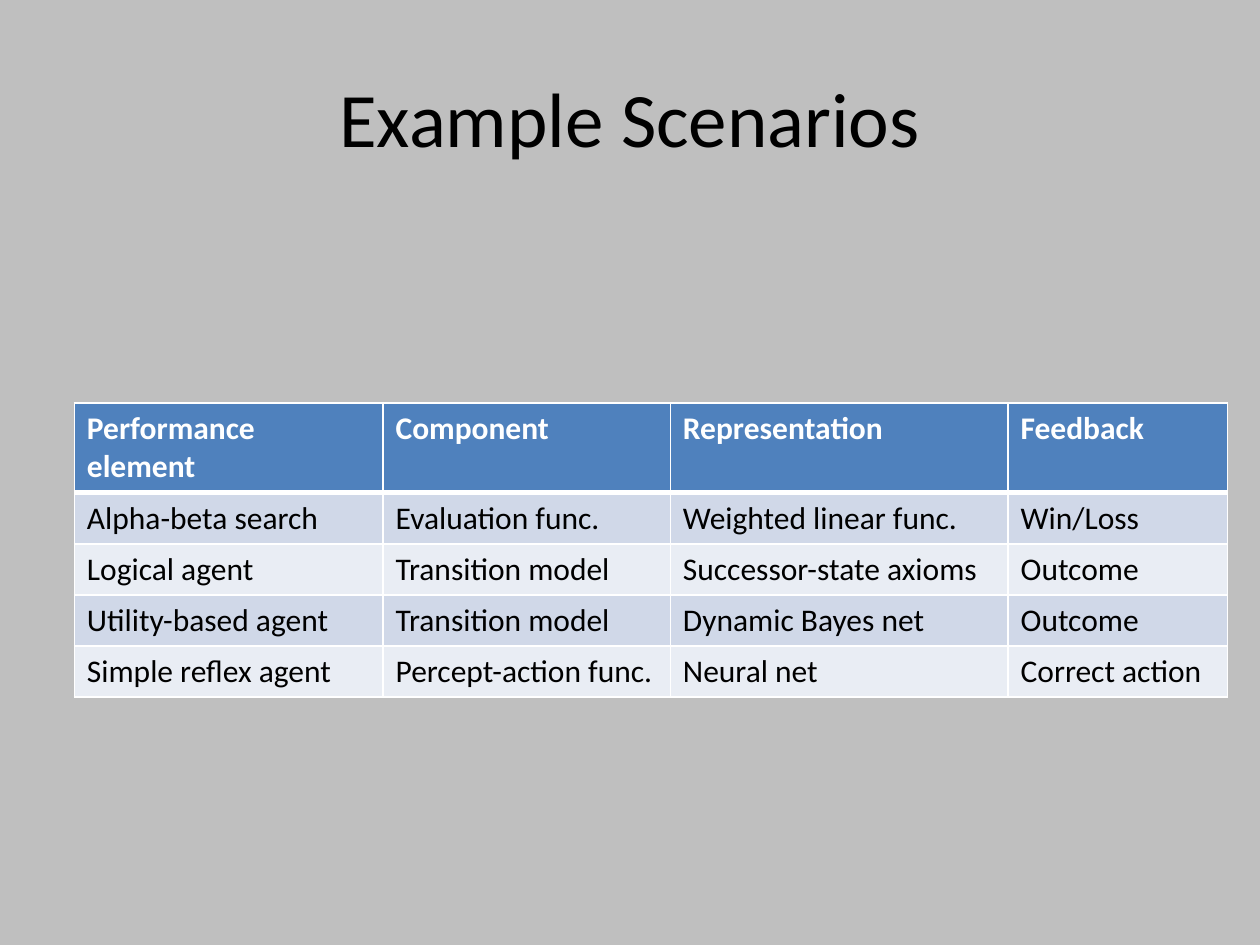
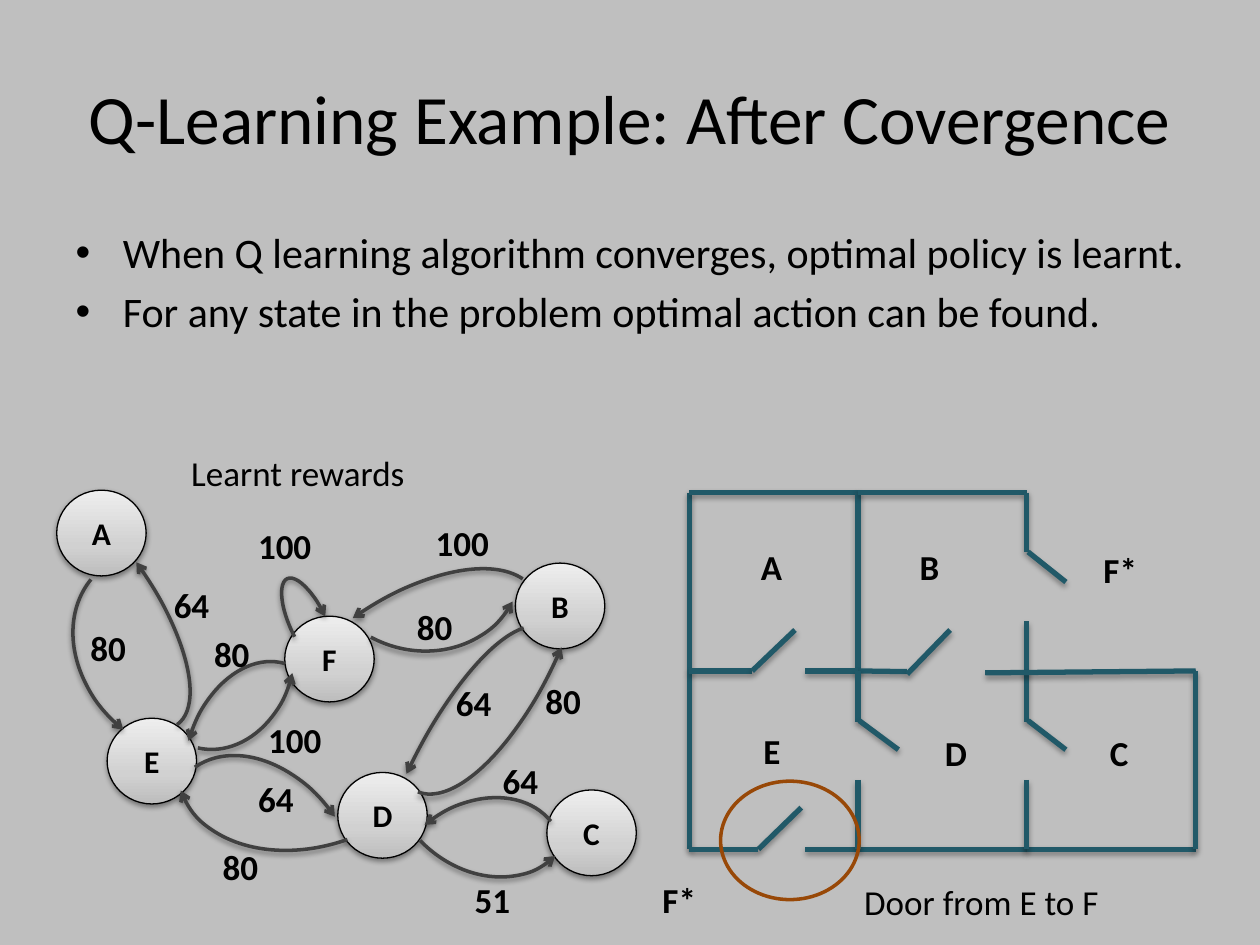
from copy import deepcopy
from typing import Any, NamedTuple, Optional

from lxml import etree
from pptx import Presentation
from pptx import slide as sl
from pptx import util as u
from pptx.dml import color as dml
from pptx.enum import shapes, text
from pptx.oxml import ns

FONT = "Calibri"
COLORS = {
    "background": "BFBFBF",
    "ink": "000000",
    "paper": "FFFFFF",
    "header": "4F81BD",
    "band_dark": "D0D8E8",
    "band_light": "E9EDF4",
    "node_low": "BDBDBD",
    "node_mid": "D1D1D1",
    "node_high": "EEEEEE",
    "transition": "404040",
    "wall": "215968",
    "highlight": "984807",
}
TITLE_ONLY, TITLE_AND_BODY = 5, 1

SCENARIOS = [
    ["Performance element", "Component", "Representation", "Feedback"],
    ["Alpha-beta search", "Evaluation func.", "Weighted linear func.", "Win/Loss"],
    ["Logical agent", "Transition model", "Successor-state axioms", "Outcome"],
    ["Utility-based agent", "Transition model", "Dynamic Bayes net", "Outcome"],
    ["Simple reflex agent", "Percept-action func.", "Neural net", "Correct action"],
]
SCENARIO_WIDTHS = [176.4, 164.2, 193, 125.3]
SCENARIO_ROW_HEIGHT = 29.2

CONCLUSIONS = [
    "When Q learning algorithm converges, optimal policy is learnt.",
    "For any state in the problem optimal action can be found.",
]


class State(NamedTuple):
    name: str
    left: float
    top: float


class Transition(NamedTuple):
    left: float
    top: float
    width: float
    height: float
    rotation: float
    end_angle: float = 0
    arrow: str = "headEnd"
    flipped: bool = False


class Label(NamedTuple):
    words: str
    left: float
    top: float
    width: float = 35.3
    bold: bool = True


class Wall(NamedTuple):
    x1: float
    y1: float
    x2: float
    y2: float


STATES = [
    State("A", 32.4, 280.1),
    State("E", 61.2, 410.4),
    State("F", 162.7, 352.1),
    State("B", 294.5, 321.8),
    State("D", 193, 441.4),
    State("C", 312.5, 451.4),
]

TRANSITIONS = [
    Transition(36.7, 319, 136.8, 110.2, 219),
    Transition(-39.6, 306.7, 177.8, 70.6, 54.2),
    Transition(71.3, 331.9, 107.3, 86.4, 102.8),
    Transition(89.3, 393.8, 115.2, 81.4, 285.9),
    Transition(100.8, 426.2, 99.4, 137.5, 325.3, arrow="tailEnd"),
    Transition(98.6, 366.5, 160.6, 116.6, 160.4, arrow="tailEnd"),
    Transition(182.2, 252.7, 112.3, 123.8, 118.1),
    Transition(133.9, 344.9, 187.9, 91.4, 325, 212.9),
    Transition(226.1, 385.9, 98.6, 120.2, 135.9),
    Transition(213.1, 461.5, 114.5, 87.8, 320.9),
    Transition(147.6, 346.3, 57.6, 20.9, 244.7, 63.82, flipped=True),
    Transition(155.5, 421.9, 217.4, 70.6, 295.3, 212.59),
    Transition(172.8, 309.6, 216.7, 86.4, 113.3, 215.84),
]

REWARDS = [
    Label("64", 140.4, 440.6),
    Label("80", 120.2, 479.5),
    Label("80", 115.2, 357.8),
    Label("100", 146.2, 406.8, 45.4),
    Label("64", 92.2, 329.8),
    Label("80", 44.6, 354.2),
    Label("80", 231.1, 342.7),
    Label("100", 241.9, 294.5, 45.4),
    Label("100", 140.4, 295.9, 45.4),
    Label("80", 304.6, 384.5),
    Label("64", 280.1, 430.6),
    Label("64", 253.4, 385.9),
    Label("51", 264.2, 498.2),
    Label("Learnt rewards", 102.2, 254.2, 137.5, False),
]

ROOMS = [
    Label("A", 427.7, 308.2, 26.6),
    Label("B", 518.4, 308.2, 26.6),
    Label("F*", 623.5, 309.6, 33.8),
    Label("E", 429.1, 413.3, 24.5),
    Label("D", 532.8, 414.7, 27.4),
    Label("C", 627.1, 414.7, 25.2),
    Label("F*", 371.5, 498.2, 33.8),
    Label("Door from E to F", 486.7, 499.7, 151.9, False),
]

X0, X1, X2, X3 = (393.8 + 96.5 * column for column in range(4))
Y0, Y1, Y2 = (281.5 + 101.9 * row for row in range(3))
WALLS = [
    Wall(X0, Y0, X0, Y1),
    Wall(X1, Y0, X0, Y0),
    Wall(X1, Y0, X1, Y1),
    Wall(X2, Y0, X1, Y0),
    Wall(X0, Y1, X0, Y2),
    Wall(429.8, Y1, X0, Y1),
    Wall(518.4, 383.8, X1, Y1),
    Wall(X2, Y2, X1, Y2),
    Wall(542.9, 360, 518.4, 385.2),
    Wall(454.3, 360, 429.8, Y1),
    Wall(X2, Y0, X2, 315.4),
    Wall(X2, 355, X2, 384.5),
    Wall(609.1, 332.6, 587.5, 315.4),
    Wall(X1, Y1, 460.1, Y1),
    Wall(457.9, 461.5, 433.4, Y2),
    Wall(433.4, Y2, X0, Y2),
    Wall(X1, Y2, 460.1, Y2),
    Wall(X1, 445.7, X1, Y2),
    Wall(X1, Y1, X1, 412.6),
    Wall(513.4, 428.4, 491, 411.8),
    Wall(X2, Y1, X2, 412.6),
    Wall(609.1, 428.4, 587.5, 411.8),
    Wall(X3, Y1, 563, 384.5),
    Wall(X3, Y2, X2, Y2),
    Wall(X2, 445.7, X2, Y2),
    Wall(X3, Y1, X3, Y2),
]


def rgb(name: str) -> dml.RGBColor:
    return dml.RGBColor.from_string(COLORS[name])


def box(left: float, top: float, width: float, height: float) -> tuple:
    return u.Pt(left), u.Pt(top), u.Pt(width), u.Pt(height)


def write(paragraph: Any, words: str, *, size: float, color: str = "ink",
          bold: bool = False, align: Optional[text.PP_ALIGN] = None) -> None:
    run = paragraph.add_run()
    run.text = words
    run.font.name, run.font.size, run.font.bold = FONT, u.Pt(size), bold
    run.font.color.rgb = rgb(color)
    if align is not None:
        paragraph.alignment = align


def add_xml(parent: Any, tag: str, **attributes: Any) -> Any:
    values = {key: str(value) for key, value in attributes.items()}
    return etree.SubElement(parent, ns.qn(f"a:{tag}"), values)


def set_line(shape: Any, color: str, width: float) -> None:
    shape.line.color.rgb = rgb(color)
    shape.line.width = u.Pt(width)


def cast_shadow(shape: Any, distance: float, opacity: int) -> None:
    properties = shape._element.spPr
    effects = properties.find(ns.qn("a:effectLst"))
    if effects is None:
        effects = add_xml(properties, "effectLst")
    shadow = add_xml(effects, "outerShdw", blurRad=u.Pt(3.1), dist=u.Pt(distance),
                     dir=90 * 60000, rotWithShape=0)
    tint = add_xml(shadow, "srgbClr", val=COLORS["ink"])
    add_xml(tint, "alpha", val=opacity * 1000)


def add_preset(slide: sl.Slide, kind: shapes.MSO_SHAPE, frame: tuple,
               line: str, width: float) -> Any:
    shape = slide.shapes.add_shape(kind, *frame)
    shape.shadow.inherit = False
    shape.fill.background()
    set_line(shape, line, width)
    return shape


def add_titled_slide(deck: Any, layout: int, title: str, size: float) -> sl.Slide:
    slide = deck.slides.add_slide(deck.slide_layouts[layout])
    heading = slide.shapes.title
    heading.left, heading.top, heading.width, heading.height = box(36, 21.6, 648, 90)
    frame = heading.text_frame
    frame.auto_size = text.MSO_AUTO_SIZE.NONE
    frame.vertical_anchor = text.MSO_ANCHOR.MIDDLE
    write(frame.paragraphs[0], title, size=size, align=text.PP_ALIGN.CENTER)
    return slide


def border_cell(cell: Any, top: float, bottom: float) -> None:
    properties = cell._tc.get_or_add_tcPr()
    sides = {"lnL": 1, "lnR": 1, "lnT": top, "lnB": bottom}
    for position, (side, width) in enumerate(sides.items()):
        line = add_xml(properties, side, w=u.Pt(width))
        add_xml(add_xml(line, "solidFill"), "srgbClr", val=COLORS["paper"])
        properties.insert(position, line)


def add_scenarios(slide: sl.Slide) -> None:
    frame = box(42.5, 230.4, sum(SCENARIO_WIDTHS), SCENARIO_ROW_HEIGHT * len(SCENARIOS))
    table = slide.shapes.add_table(len(SCENARIOS), len(SCENARIO_WIDTHS), *frame).table
    for column, width in zip(table.columns, SCENARIO_WIDTHS):
        column.width = u.Pt(width)
    for r, scenario in enumerate(SCENARIOS):
        header = r == 0
        fill = "header" if header else ("band_light", "band_dark")[r % 2]
        for c, words in enumerate(scenario):
            cell = table.cell(r, c)
            cell.fill.solid()
            cell.fill.fore_color.rgb = rgb(fill)
            border_cell(cell, top=3 if r == 1 else 1, bottom=3 if header else 1)
            write(cell.text_frame.paragraphs[0], words, size=18, bold=header,
                  color="paper" if header else "ink")


def add_conclusions(slide: sl.Slide) -> None:
    body = slide.placeholders[1]
    body.left, body.top, body.width, body.height = box(36, 126, 648, 356.4)
    frame = body.text_frame
    frame.auto_size = text.MSO_AUTO_SIZE.NONE
    for index, conclusion in enumerate(CONCLUSIONS):
        paragraph = frame.add_paragraph() if index else frame.paragraphs[0]
        paragraph.space_before = u.Pt(4.8 if index else 0)
        write(paragraph, conclusion, size=24)


def add_state(slide: sl.Slide, state: State) -> None:
    node = add_preset(slide, shapes.MSO_SHAPE.OVAL, box(state.left, state.top, 51.1, 49),
                      "ink", 0.75)
    node.fill.gradient()
    node.fill.gradient_angle = 90
    stops = node._element.spPr.find(".//" + ns.qn("a:gsLst"))
    stops.insert(1, deepcopy(stops[0]))
    shades = [(0, "node_low"), (0.35, "node_mid"), (1, "node_high")]
    for stop, (position, shade) in zip(node.fill.gradient_stops, shades):
        stop.position = position
        stop.color.rgb = rgb(shade)
    cast_shadow(node, 1.6, 38)
    node.text_frame.vertical_anchor = text.MSO_ANCHOR.MIDDLE
    write(node.text_frame.paragraphs[0], state.name, size=18, bold=True,
          align=text.PP_ALIGN.CENTER)


def add_transition(slide: sl.Slide, move: Transition) -> None:
    arc = add_preset(slide, shapes.MSO_SHAPE.ARC, box(*move[:4]), "transition", 2)
    arc.rotation = move.rotation
    arc.adjustments[0], arc.adjustments[1] = 162, move.end_angle
    if move.flipped:
        arc._element.spPr.xfrm.set("flipV", "1")
    add_xml(arc._element.spPr.find(ns.qn("a:ln")), move.arrow, type="arrow")
    cast_shadow(arc, 1.6, 38)


def add_label(slide: sl.Slide, label: Label) -> None:
    frame = slide.shapes.add_textbox(*box(label.left, label.top, label.width, 31.5)).text_frame
    frame.word_wrap = False
    frame.auto_size = text.MSO_AUTO_SIZE.SHAPE_TO_FIT_TEXT
    write(frame.paragraphs[0], label.words, size=20, bold=label.bold)


def add_wall(slide: sl.Slide, wall: Wall) -> None:
    line = slide.shapes.add_connector(shapes.MSO_CONNECTOR.STRAIGHT, *box(*wall))
    set_line(line, "wall", 3)
    cast_shadow(line, 1.8, 35)


def main() -> None:
    """Build the learning-scenarios and Q-learning slides."""
    deck = Presentation()
    deck.slide_width, deck.slide_height = u.Pt(720), u.Pt(540)
    background = deck.slide_master.background.fill
    background.solid()
    background.fore_color.rgb = rgb("background")

    add_scenarios(add_titled_slide(deck, TITLE_ONLY, "Example Scenarios", 44))

    convergence = add_titled_slide(deck, TITLE_AND_BODY,
                                   "Q-Learning Example: After Covergence", 39.6)
    add_conclusions(convergence)
    for draw, parts in [(add_state, STATES), (add_transition, TRANSITIONS),
                        (add_label, REWARDS), (add_wall, WALLS), (add_label, ROOMS)]:
        for part in parts:
            draw(convergence, part)
    add_preset(convergence, shapes.MSO_SHAPE.OVAL, box(411.8, 446.4, 79.2, 67.7),
               "highlight", 2)
    deck.save("out.pptx")


if __name__ == "__main__":
    main()
